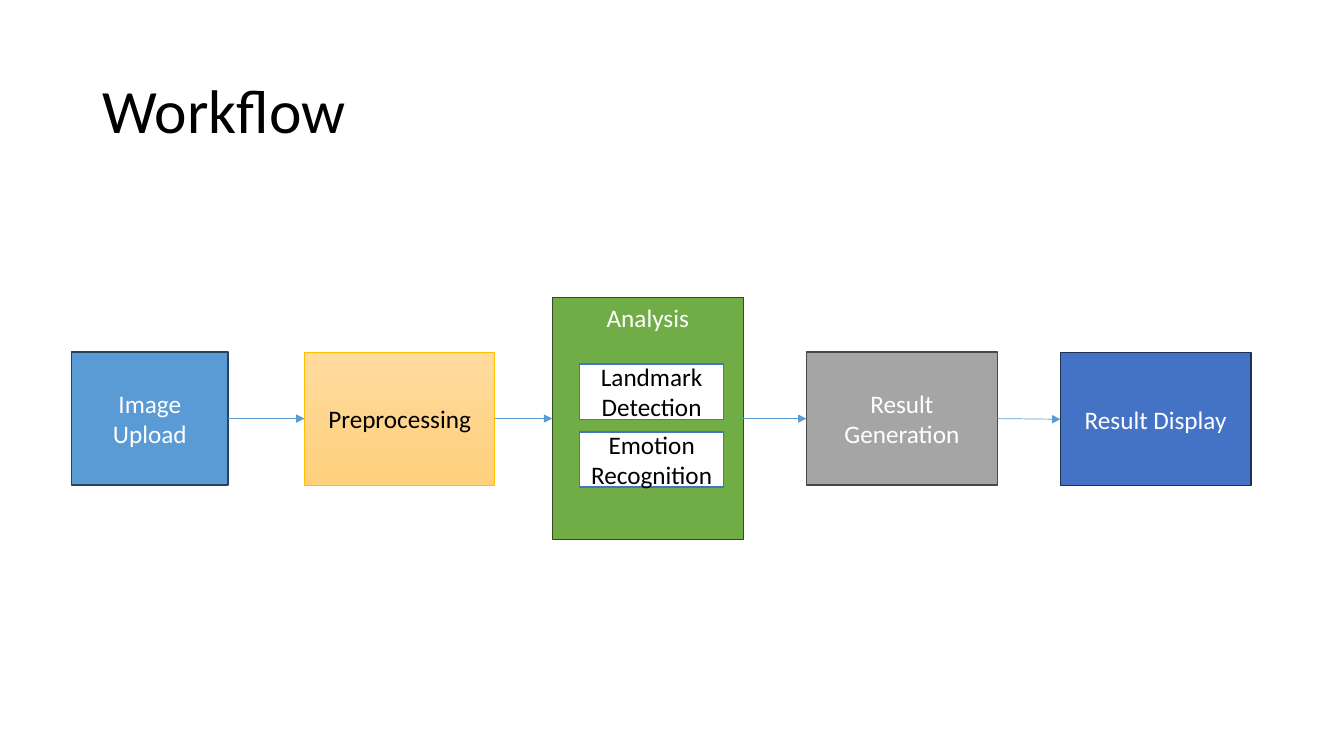
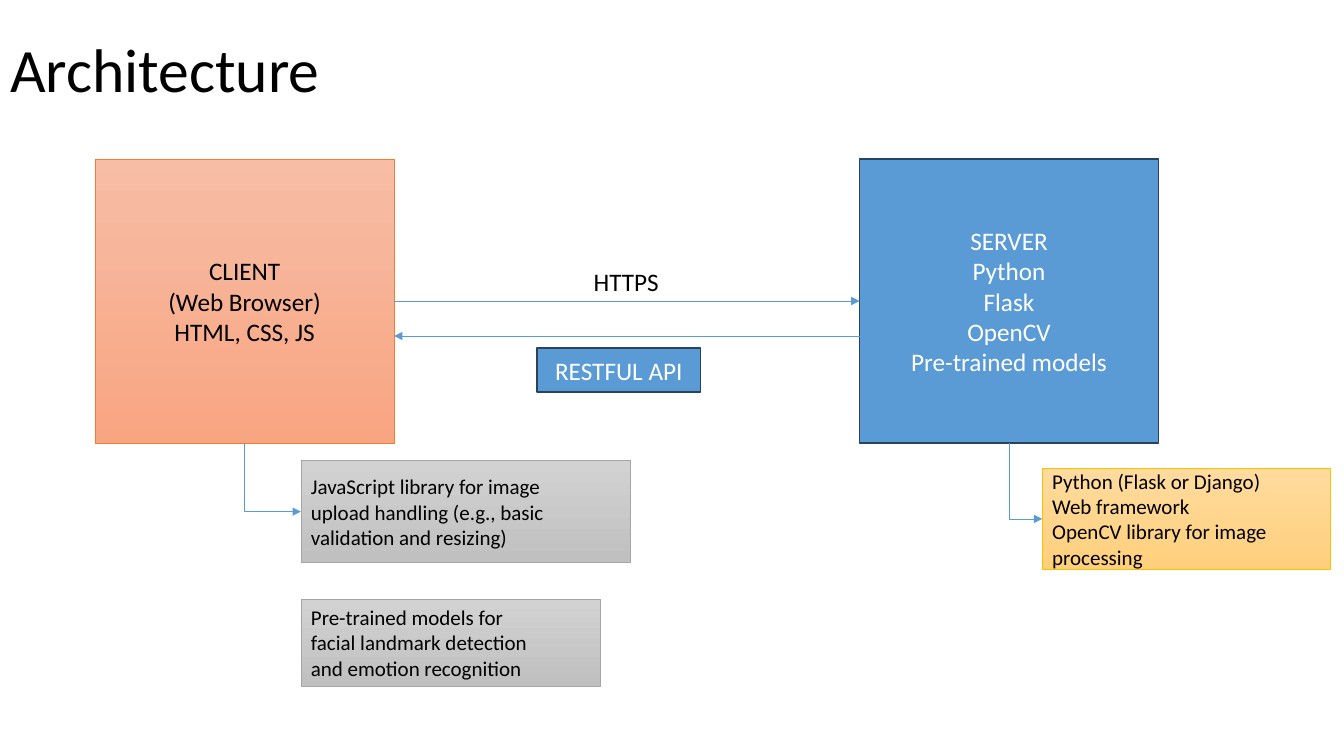
"""Build two slides: an image workflow and its client-server architecture."""
from lxml import etree
from pptx import Presentation
from pptx import util as u
from pptx.dml import color
from pptx.enum import shapes, text
from pptx.oxml import ns

Pt = u.Pt
LEFT, MID = text.PP_ALIGN.LEFT, text.PP_ALIGN.CENTER

THEME = {
    "font": "Calibri",
    "size": {"title": 44, "body": 18, "note": 15},
    "ink": "000000",
    "link": ("5B9BD5", 0.5),
    "looks": {
        "blue": (["5B9BD5"], "28445D", 1, "FFFFFF"),
        "navy": (["4472C4"], "1E3256", 1, "FFFFFF"),
        "green": (["70AD47"], "314C1F", 1, "FFFFFF"),
        "gray": (["A5A5A5"], "484848", 1, "FFFFFF"),
        "white": (["FFFFFF"], "4472C4", 1, "000000"),
        "gold": (["FFDB9E", "FFD07C"], "FFC000", 0.5, "000000"),
        "peach": (["F7BDA5", "F8A582"], "ED7D31", 0.5, "000000"),
        "silver": (["D2D2D2", "C0C0C0"], "A5A5A5", 0.5, "000000"),
    },
}

STEPS = [
    ("Image Upload", "blue", (51, 251.5, 112, 95)),
    ("Preprocessing", "gold", (217.5, 251.5, 136, 95)),
    ("Analysis", "green", (394.5, 212.5, 136.5, 173)),
    ("Result Generation", "gray", (576, 251.5, 136.5, 95)),
    ("Result Display", "navy", (757.5, 252, 136, 95)),
]
TASKS = ["Landmark Detection", "Emotion Recognition"]
TASK = {"left": 414, "top": 260, "wide": 103, "high": 39.5, "step": 48.5}

HOSTS = [
    ("CLIENT\n(Web Browser)\nHTML, CSS, JS", "peach", (68, 113.5, 213.5, 203)),
    ("SERVER\nPython\nFlask\nOpenCV\nPre-trained models", "blue",
     (614, 113.5, 213.5, 203)),
]
API = ("RESTFUL API", "blue", (383.5, 248.5, 117, 31.5))
LABEL = ("HTTPS", (417, 186.5, 61, 29))
REPLY = 240
NOTES = [
    ("JavaScript library for image\nupload handling (e.g., basic\n"
     "validation and resizing)", "silver", (215, 329, 235, 73)),
    ("Python (Flask or Django)\nWeb framework\n"
     "OpenCV library for image processing", "gold", (744.5, 334.5, 205.5, 72.5)),
    ("Pre-trained models for\nfacial landmark detection\n"
     "and emotion recognition", "silver", (215, 428, 214, 62)),
]


def rgb(code):
    """Turn a hex code into a colour."""
    return color.RGBColor.from_string(code)


def put(item, **vals):
    """Set each named value on an item."""
    for name, val in vals.items():
        setattr(item, name, val)


def write(shape, words, size, ink, align, anchor=text.MSO_ANCHOR.MIDDLE, space=None):
    """Fill a shape with styled paragraphs."""
    frame = shape.text_frame
    put(frame, text=words, word_wrap=True, vertical_anchor=anchor)
    for para in frame.paragraphs:
        put(para, alignment=align, line_spacing=space)
        put(para.font, name=THEME["font"], size=Pt(THEME["size"][size]))
        para.font.color.rgb = rgb(ink)


def start(deck, words, spot):
    """Add a slide with its title."""
    slide = deck.slides.add_slide(deck.slide_layouts[5])
    head = slide.shapes.title
    put(head, **dict(zip(("left", "top", "width", "height"), map(Pt, spot))))
    write(head, words, "title", THEME["ink"], LEFT, space=0.9)
    return slide


def box(slide, words, look, spot, size="body", align=MID,
        anchor=text.MSO_ANCHOR.MIDDLE):
    """Add a rectangle in one of the theme's looks."""
    tones, edge, width, ink = THEME["looks"][look]
    shape = slide.shapes.add_shape(shapes.MSO_SHAPE.RECTANGLE, *map(Pt, spot))
    shape.shadow.inherit = False
    if len(tones) > 1:
        shape.fill.gradient()
        shape.fill.gradient_angle = 270
        for stop, tone in zip(shape.fill.gradient_stops, tones):
            stop.color.rgb = rgb(tone)
    else:
        shape.fill.solid()
        shape.fill.fore_color.rgb = rgb(tones[0])
    shape.line.color.rgb = rgb(edge)
    shape.line.width = Pt(width)
    write(shape, words, size, ink, align, anchor)
    return shape


def link(slide, ends=(0, 0, 0, 0), kind="STRAIGHT", tip="tailEnd"):
    """Add a thin line with an arrowhead."""
    line = slide.shapes.add_connector(
        getattr(shapes.MSO_CONNECTOR, kind), *map(Pt, ends))
    tone, width = THEME["link"]
    line.line.color.rgb = rgb(tone)
    line.line.width = Pt(width)
    edge = line.line._get_or_add_ln()
    etree.SubElement(edge, ns.qn("a:" + tip)).set("type", "triangle")
    etree.SubElement(line._element.spPr, ns.qn("a:effectLst"))
    return line


def join(slide, first, last):
    """Join two boxes from right side to left side."""
    line = link(slide)
    line.begin_connect(first, 3)
    line.end_connect(last, 1)


def bend(slide, host, note):
    """Join a host's bottom to a note's left side, with one corner."""
    line = link(slide, kind="ELBOW", tip="headEnd")
    line._element.spPr.find(ns.qn("a:prstGeom")).set("prst", "bentConnector2")
    line.begin_connect(note, 1)
    line.end_connect(host, 2)


def flow(deck):
    """Build the workflow slide."""
    slide = start(deck, "Workflow", (66, 29, 828, 104))
    steps = [box(slide, *step) for step in STEPS]
    steps[2].text_frame.vertical_anchor = text.MSO_ANCHOR.TOP
    for first, last in zip(steps, steps[1:]):
        join(slide, first, last)
    for row, words in enumerate(TASKS):
        top = TASK["top"] + row * TASK["step"]
        box(slide, words, "white", (TASK["left"], top, TASK["wide"], TASK["high"]))


def plan(deck):
    """Build the architecture slide."""
    slide = start(deck, "Architecture", (0, 0, 828, 104))
    hosts = [box(slide, *host) for host in HOSTS]
    join(slide, *hosts)
    near, far = (host[2] for host in HOSTS)
    link(slide, (far[0], REPLY, near[0] + near[2], REPLY))
    box(slide, *API)
    words, spot = LABEL
    label = slide.shapes.add_textbox(*map(Pt, spot))
    write(label, words, "body", THEME["ink"], LEFT, text.MSO_ANCHOR.TOP)
    put(label.text_frame, word_wrap=False,
        auto_size=text.MSO_AUTO_SIZE.SHAPE_TO_FIT_TEXT)
    notes = [box(slide, *note, size="note", align=LEFT) for note in NOTES]
    for host, note in zip(hosts, notes):
        bend(slide, host, note)


def main():
    """Build and save the deck."""
    deck = Presentation()
    put(deck, slide_width=Pt(960), slide_height=Pt(540))
    flow(deck)
    plan(deck)
    deck.save("out.pptx")


if __name__ == "__main__":
    main()
